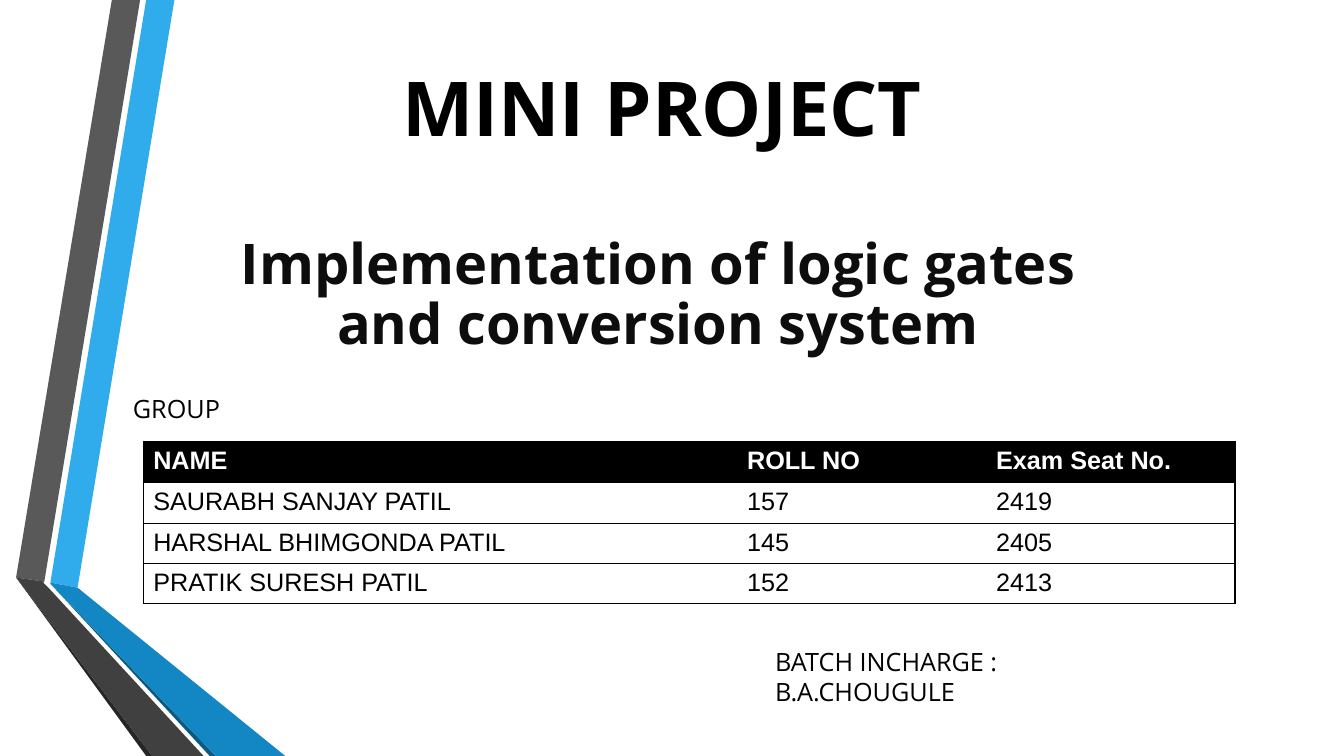
from dataclasses import dataclass

from lxml import etree
from pptx import Presentation
from pptx import util as u
from pptx.dml.color import RGBColor
from pptx.enum import text
from pptx.oxml import ns

COLORS = {
    "black": "000000", "white": "FFFFFF", "ink": "0D0D0D",
    "sky": "30ACEC", "blue": "1287C3", "navy": "0C5A82",
    "gray": "595959", "charcoal": "404040", "soot": "262626",
}


@dataclass
class Ribbon:
    color: str
    points: list[tuple[float, float]]


@dataclass
class Label:
    words: str
    box: tuple[float, float, float, float]
    size: int
    align: text.PP_ALIGN
    color: str = "black"
    bold: bool = False
    anchor: text.MSO_ANCHOR = text.MSO_ANCHOR.TOP
    spacing: float = 1.0
    before: int = 0


RIBBONS = [
    Ribbon("sky", [(0.5, 5.78), (0.77, 5.83), (1.73, 0), (1.45, 0)]),
    Ribbon("gray", [(1.39, 0), (1.11, 0), (0.16, 5.73), (0.44, 5.77)]),
    Ribbon("soot", [(0.16, 5.73), (1.45, 7.5), (1.51, 7.5)]),
    Ribbon("navy", [(0.5, 5.79), (2.08, 7.5), (2.14, 7.5)]),
    Ribbon("blue", [(0.5, 5.79), (2.14, 7.5), (2.83, 7.5), (0.77, 5.83), (0.5, 5.78)]),
    Ribbon("charcoal", [(2.02, 7.5), (0.48, 5.83), (0.43, 5.78), (0.44, 5.77),
                        (0.16, 5.73), (1.51, 7.5)]),
]

LABELS = [
    Label("MINI PROJECT", (3.82, 0.55, 5.42, 1), 54, text.PP_ALIGN.RIGHT,
          bold=True, anchor=text.MSO_ANCHOR.BOTTOM),
    Label("Implementation of logic gates and conversion system",
          (2.28, 2.29, 8.49, 1.46), 40, text.PP_ALIGN.CENTER,
          color="ink", bold=True, spacing=0.9, before=10),
    Label("GROUP", (0.2, 3.89, 2.08, 0.49), 18, text.PP_ALIGN.RIGHT,
          spacing=0.9, before=10),
    Label("BATCH INCHARGE : B.A.CHOUGULE", (7.59, 6.36, 4.11, 0.41), 18,
          text.PP_ALIGN.LEFT),
]

MEMBERS = [
    ("NAME", "ROLL NO", "Exam Seat No."),
    ("SAURABH SANJAY PATIL", "157", "2419"),
    ("HARSHAL BHIMGONDA PATIL", "145", "2405"),
    ("PRATIK SURESH PATIL", "152", "2413"),
]
COLUMN_WIDTHS = (5.89, 2.47, 2.47)
ROW_HEIGHTS = (0.41, 0.38, 0.38, 0.38)


def rgb(color: str) -> RGBColor:
    return RGBColor.from_string(COLORS[color])


def style_run(paragraph, font: str, size: int, color: str, bold: bool) -> None:
    for run in paragraph.runs:
        run.font.name = font
        run.font.size = u.Pt(size)
        run.font.bold = bold
        run.font.color.rgb = rgb(color)


def draw_ribbon(slide, ribbon: Ribbon) -> None:
    corners = [(u.Inches(x), u.Inches(y)) for x, y in ribbon.points]
    outline = slide.shapes.build_freeform(*corners[0])
    outline.add_line_segments(corners[1:], close=True)
    band = outline.convert_to_shape()
    band.shadow.inherit = False
    band.fill.solid()
    band.fill.fore_color.rgb = rgb(ribbon.color)
    band.line.fill.background()


def draw_label(slide, label: Label) -> None:
    frame = slide.shapes.add_textbox(*map(u.Inches, label.box)).text_frame
    frame.word_wrap = True
    frame.vertical_anchor = label.anchor
    frame.text = label.words
    paragraph = frame.paragraphs[0]
    paragraph.alignment = label.align
    paragraph.line_spacing = label.spacing
    paragraph.space_before = u.Pt(label.before)
    style_run(paragraph, "Open Sans", label.size, label.color, label.bold)


def set_borders(cell, visible: set[str]) -> None:
    properties = cell._tc.get_or_add_tcPr()
    for index, edge in enumerate(("lnL", "lnR", "lnT", "lnB")):
        line = etree.Element(ns.qn(f"a:{edge}"), w=str(u.Pt(1)))
        if edge in visible:
            fill = etree.SubElement(line, ns.qn("a:solidFill"))
            etree.SubElement(fill, ns.qn("a:srgbClr"), val=COLORS["black"])
        else:
            etree.SubElement(line, ns.qn("a:noFill"))
        properties.insert(index, line)


def draw_members(slide) -> None:
    table = slide.shapes.add_table(
        len(MEMBERS), len(COLUMN_WIDTHS), u.Inches(1.42), u.Inches(4.38),
        u.Inches(sum(COLUMN_WIDTHS)), u.Inches(sum(ROW_HEIGHTS))).table
    for column, width in zip(table.columns, COLUMN_WIDTHS):
        column.width = u.Inches(width)
    for row, height in zip(table.rows, ROW_HEIGHTS):
        row.height = u.Inches(height)
    last = len(COLUMN_WIDTHS) - 1
    for r, member in enumerate(MEMBERS):
        header = r == 0
        for c, entry in enumerate(member):
            cell = table.cell(r, c)
            cell.text_frame.text = entry
            style_run(cell.text_frame.paragraphs[0], "Arial", 18,
                      "white" if header else "black", header)
            cell.fill.solid()
            cell.fill.fore_color.rgb = rgb("black" if header else "white")
            sides = {0: {"lnL"}, last: {"lnR"}}.get(c, set())
            set_borders(cell, {"lnT", "lnB"} | sides)


def main() -> None:
    deck = Presentation()
    deck.slide_width, deck.slide_height = u.Inches(13.33), u.Inches(7.5)
    slide = deck.slides.add_slide(deck.slide_layouts[6])

    # Folded ribbons on the left
    for ribbon in RIBBONS:
        draw_ribbon(slide, ribbon)

    # Title, subtitle and captions
    for label in LABELS:
        draw_label(slide, label)

    # Group members
    draw_members(slide)

    deck.save("out.pptx")


if __name__ == "__main__":
    main()
